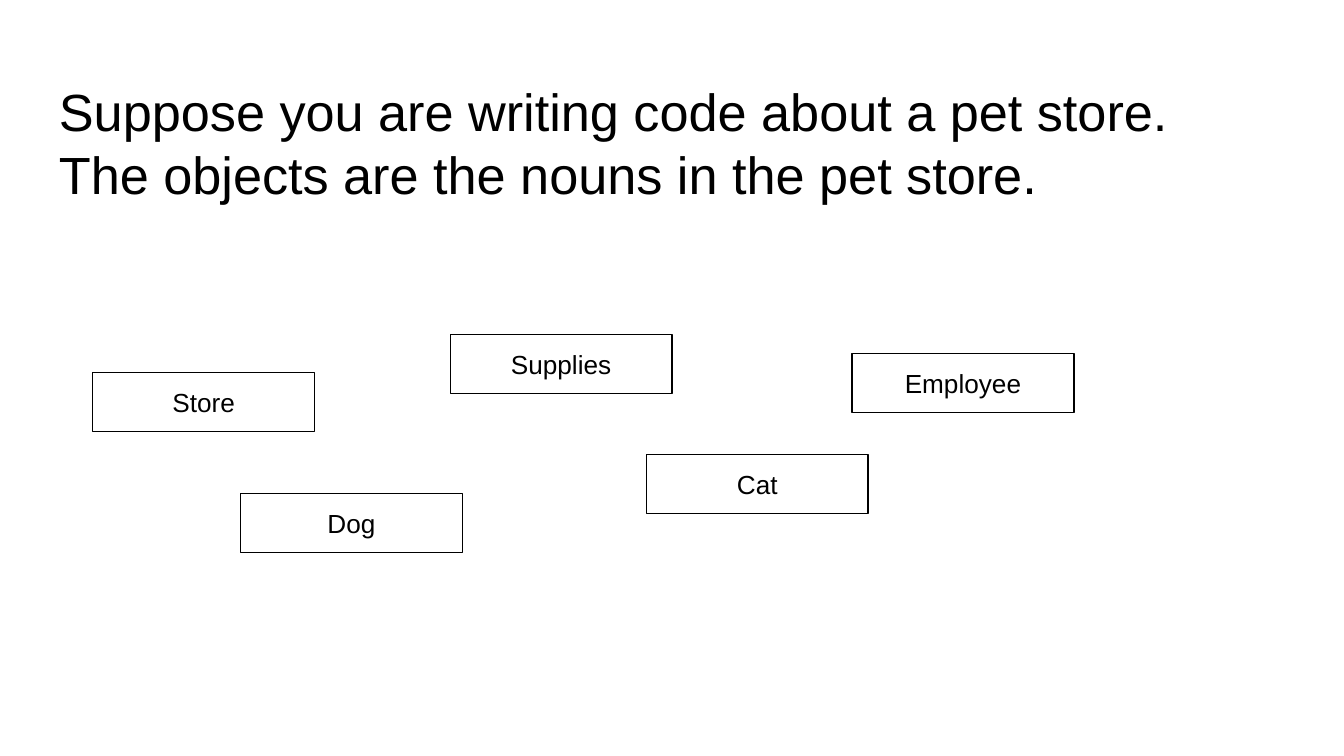
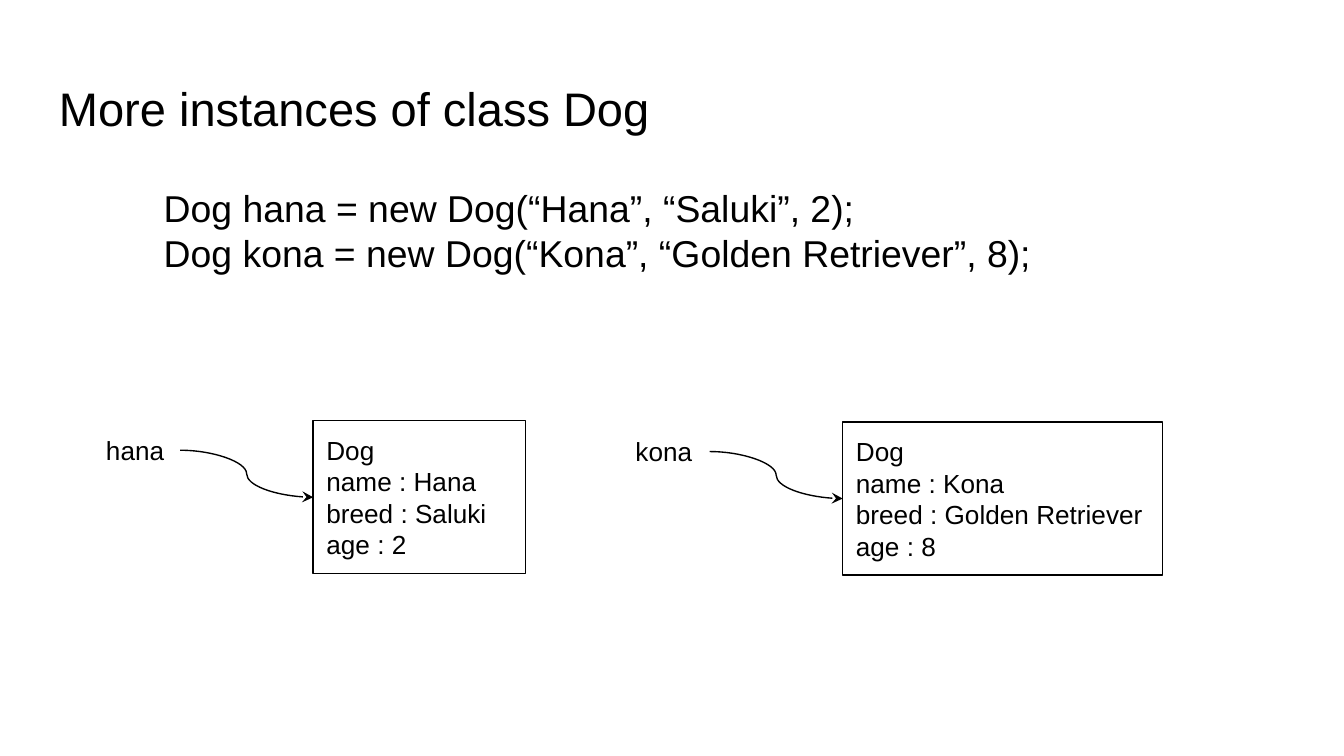
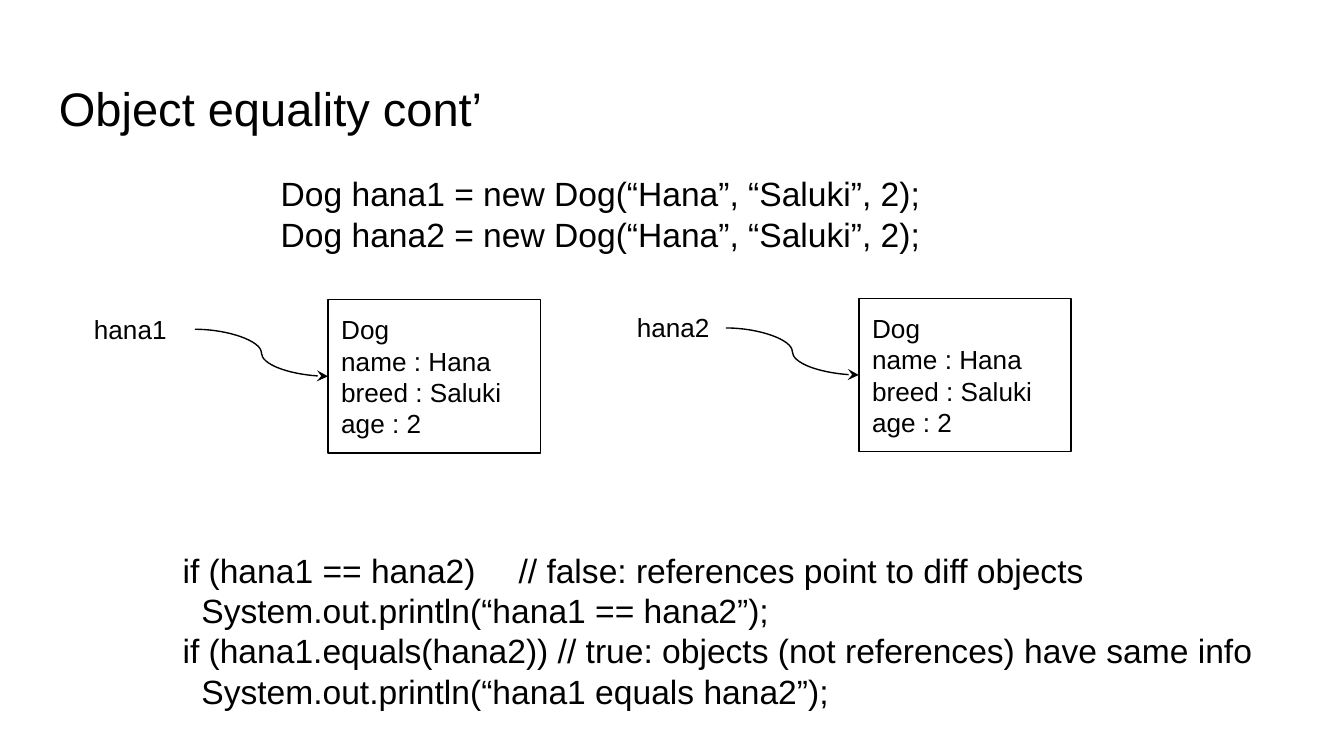
import dataclasses

import lxml.etree
import pptx
import pptx.dml.color
import pptx.enum.shapes
import pptx.enum.text
import pptx.oxml.ns
import pptx.presentation
import pptx.shapes.autoshape
import pptx.shapes.base
import pptx.slide
import pptx.util
from pptx.util import Inches

COLORS = {"ink": "000000", "page": "FFFFFF"}
FONT = "Arial"
SMALL = 14
RULE = 0.75
PAD = 0.1
REACH = 0.99
LABEL_HIGH = 0.44
NOUN_WIDE = 1.65
BOX_HIGH = 1.14
CODE_INDENT = 0.14
TAB_STEP = 1


@dataclasses.dataclass(frozen=True)
class Area:
    left: float
    top: float
    width: float
    height: float


@dataclasses.dataclass(frozen=True)
class Noun:
    name: str
    left: float
    top: float


@dataclasses.dataclass(frozen=True)
class Dog:
    label: str
    name: str
    breed: str
    age: int
    left: float
    top: float
    width: float = 1.58
    label_wide: float = 0.65


@dataclasses.dataclass(frozen=True)
class Code:
    area: Area
    size: float
    lines: tuple[str, ...]
    inset: tuple[int, ...] = ()


NOUNS = (
    Noun("Store", 0.69, 2.77),
    Noun("Supplies", 3.35, 2.49),
    Noun("Dog", 1.79, 3.67),
    Noun("Cat", 4.81, 3.38),
    Noun("Employee", 6.34, 2.63),
)

PETS = (
    Dog("hana", "Hana", "Saluki", 2, 2.33, 3.13),
    Dog("kona", "Kona", "Golden Retriever", 8, 6.27, 3.14, width=2.38),
)

TWINS = (
    Dog("hana1", "Hana", "Saluki", 2, 2.44, 2.23, label_wide=0.85),
    Dog("hana2", "Hana", "Saluki", 2, 6.39, 2.22, label_wide=0.76),
)

MAKE_PETS = Code(
    Area(1.12, 1.28, 7.36, 0.88),
    20,
    (
        "Dog hana = new Dog(“Hana”, “Saluki”, 2);",
        "Dog kona = new Dog(“Kona”, “Golden Retriever”, 8);",
    ),
)

MAKE_TWINS = Code(
    Area(1.99, 1.19, 6.81, 1.04),
    18,
    (
        "Dog hana1 = new Dog(“Hana”, “Saluki”, 2);",
        "Dog hana2 = new Dog(“Hana”, “Saluki”, 2);",
    ),
)

TEST_TWINS = Code(
    Area(1.26, 3.99, 8.29, 1.95),
    18,
    (
        "if (hana1 == hana2)\t// false: references point to diff objects",
        "System.out.println(“hana1 == hana2”);",
        "if (hana1.equals(hana2)) // true: objects (not references) have same info",
        "System.out.println(“hana1 equals hana2”);",
    ),
    inset=(1, 3),
)


def color(name: str) -> pptx.dml.color.RGBColor:
    return pptx.dml.color.RGBColor.from_string(COLORS[name])


def place(area: Area) -> tuple[int, ...]:
    return tuple(Inches(part) for part in dataclasses.astuple(area))


def write(
    shape: pptx.shapes.autoshape.Shape,
    lines: tuple[str, ...],
    size: float,
    align: pptx.enum.text.PP_ALIGN = pptx.enum.text.PP_ALIGN.LEFT,
    anchor: pptx.enum.text.MSO_ANCHOR = pptx.enum.text.MSO_ANCHOR.TOP,
    grow: bool = True,
    inset: tuple[int, ...] = (),
) -> None:
    frame = shape.text_frame
    frame.word_wrap = True
    frame.vertical_anchor = anchor
    fit = pptx.enum.text.MSO_AUTO_SIZE
    frame.auto_size = fit.SHAPE_TO_FIT_TEXT if grow else fit.NONE
    frame.margin_left = frame.margin_right = Inches(PAD)
    frame.margin_top = frame.margin_bottom = Inches(PAD)
    for index, line in enumerate(lines):
        para = frame.paragraphs[0] if index == 0 else frame.add_paragraph()
        para.alignment = align
        props = para._p.get_or_add_pPr()
        props.set("marL", str(Inches(CODE_INDENT if index in inset else 0)))
        props.set("indent", "0")
        if "\t" in line:
            tabs = lxml.etree.SubElement(props, pptx.oxml.ns.qn("a:tabLst"))
            stop = lxml.etree.SubElement(tabs, pptx.oxml.ns.qn("a:tab"))
            stop.set("pos", str(Inches(3 * TAB_STEP)))
            stop.set("algn", "l")
        run = para.add_run()
        run.text = line
        run.font.name = FONT
        run.font.size = pptx.util.Pt(size)
        run.font.color.rgb = color("ink")


def add_text(
    slide: pptx.slide.Slide,
    area: Area,
    lines: tuple[str, ...],
    size: float,
    grow: bool = True,
    inset: tuple[int, ...] = (),
) -> pptx.shapes.autoshape.Shape:
    box = slide.shapes.add_textbox(*place(area))
    write(box, lines, size, grow=grow, inset=inset)
    return box


def add_box(
    slide: pptx.slide.Slide,
    area: Area,
    lines: tuple[str, ...],
    align: pptx.enum.text.PP_ALIGN = pptx.enum.text.PP_ALIGN.LEFT,
) -> pptx.shapes.autoshape.Shape:
    kind = pptx.enum.shapes.MSO_SHAPE.RECTANGLE
    box = slide.shapes.add_shape(kind, *place(area))
    box.shadow.inherit = False
    box.fill.background()
    box.line.color.rgb = color("ink")
    box.line.width = pptx.util.Pt(RULE)
    write(box, lines, SMALL, align, pptx.enum.text.MSO_ANCHOR.MIDDLE)
    return box


def add_arrow(
    slide: pptx.slide.Slide,
    start: pptx.shapes.base.BaseShape,
    end: pptx.shapes.base.BaseShape,
) -> None:
    kind = pptx.enum.shapes.MSO_CONNECTOR.CURVE
    arrow = slide.shapes.add_connector(kind, 0, 0, 0, 0)
    arrow.begin_connect(start, 3)
    arrow.end_connect(end, 1)
    arrow.line.color.rgb = color("ink")
    arrow.line.width = pptx.util.Pt(RULE)
    name = pptx.oxml.ns.qn
    tail = lxml.etree.SubElement(arrow.line._get_or_add_ln(), name("a:tailEnd"))
    tail.set("type", "stealth")
    lxml.etree.SubElement(arrow._element.spPr, name("a:effectLst"))


def add_dog(slide: pptx.slide.Slide, dog: Dog) -> None:
    facts = (
        "Dog",
        f"name : {dog.name}",
        f"breed : {dog.breed}",
        f"age : {dog.age}",
    )
    box = add_box(slide, Area(dog.left, dog.top, dog.width, BOX_HIGH), facts)
    left = dog.left - REACH - dog.label_wide
    area = Area(left, dog.top, dog.label_wide, LABEL_HIGH)
    label = add_text(slide, area, (dog.label,), SMALL)
    add_arrow(slide, label, box)


def add_code(slide: pptx.slide.Slide, code: Code) -> None:
    add_text(slide, code.area, code.lines, code.size, inset=code.inset)


def add_page(
    deck: pptx.presentation.Presentation,
    title: tuple[str, ...],
    size: float = 25.2,
    height: float = 0.63,
) -> pptx.slide.Slide:
    slide = deck.slides.add_slide(deck.slide_layouts[6])
    slide.background.fill.solid()
    slide.background.fill.fore_color.rgb = color("page")
    add_text(slide, Area(0.34, 0.49, 9.32, height), title, size, grow=False)
    return slide


def show_nouns(deck: pptx.presentation.Presentation) -> None:
    title = (
        "Suppose you are writing code about a pet store.",
        "The objects are the nouns in the pet store.",
    )
    slide = add_page(deck, title, 28, 1.62)
    for noun in NOUNS:
        area = Area(noun.left, noun.top, NOUN_WIDE, LABEL_HIGH)
        add_box(slide, area, (noun.name,), pptx.enum.text.PP_ALIGN.CENTER)


def show_dogs(
    deck: pptx.presentation.Presentation,
    title: str,
    dogs: tuple[Dog, ...],
    codes: tuple[Code, ...],
) -> None:
    slide = add_page(deck, (title,))
    for dog in dogs:
        add_dog(slide, dog)
    for code in codes:
        add_code(slide, code)


def main() -> None:
    deck = pptx.Presentation()
    deck.slide_width = Inches(10)
    deck.slide_height = deck.slide_width * 9 // 16
    show_nouns(deck)
    show_dogs(deck, "More instances of class Dog", PETS, (MAKE_PETS,))
    show_dogs(deck, "Object equality cont’", TWINS, (MAKE_TWINS, TEST_TWINS))
    deck.save("out.pptx")


if __name__ == "__main__":
    main()
